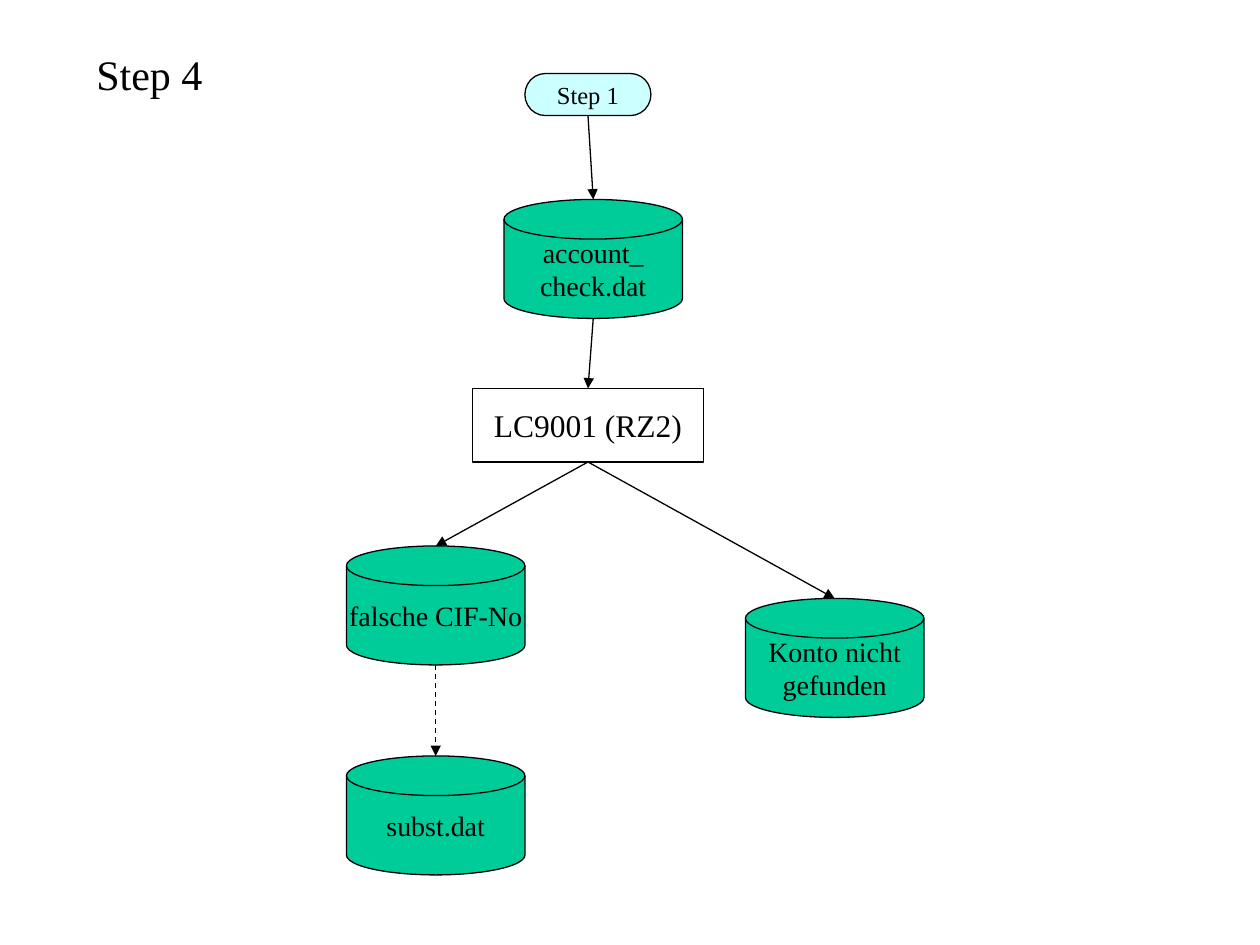
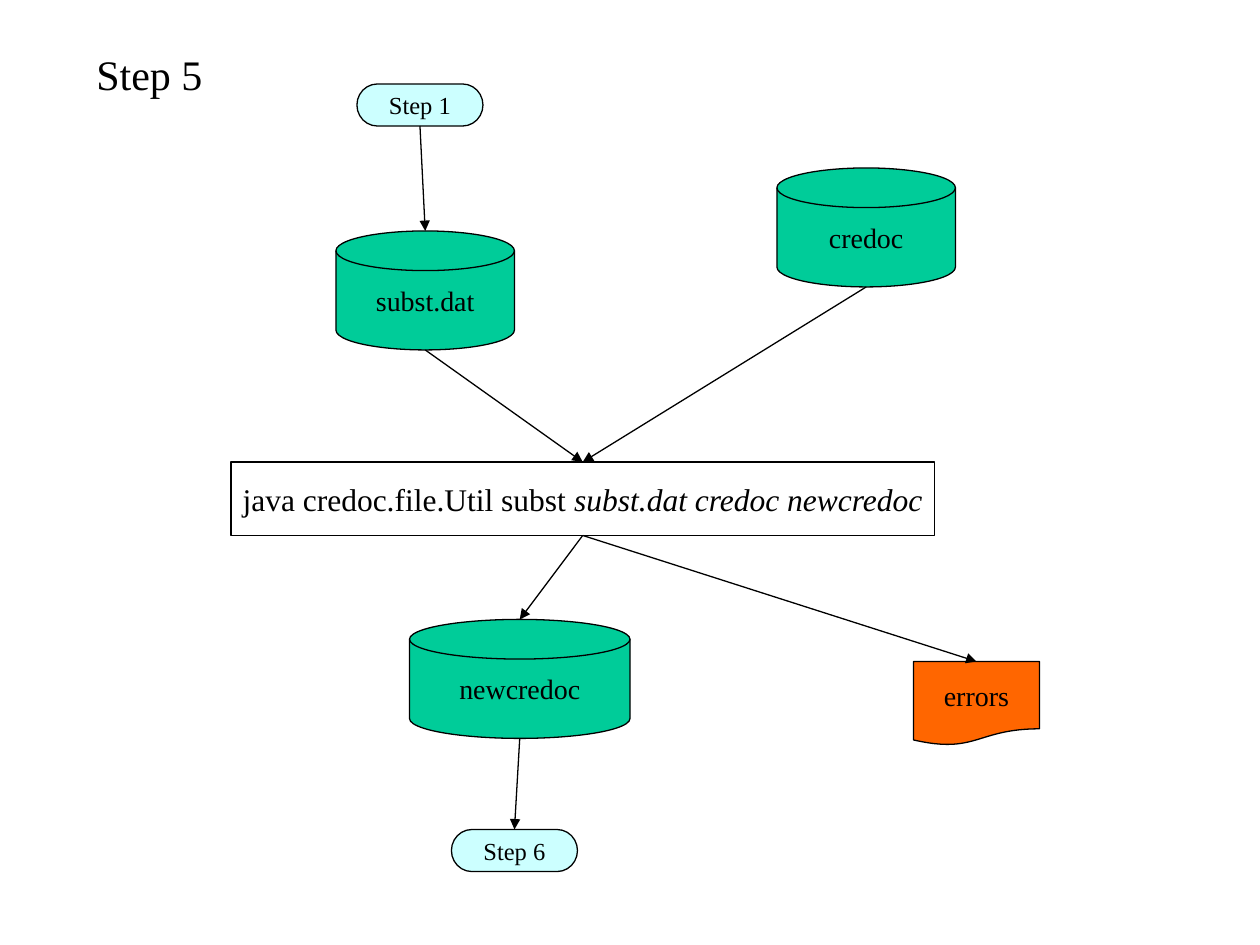
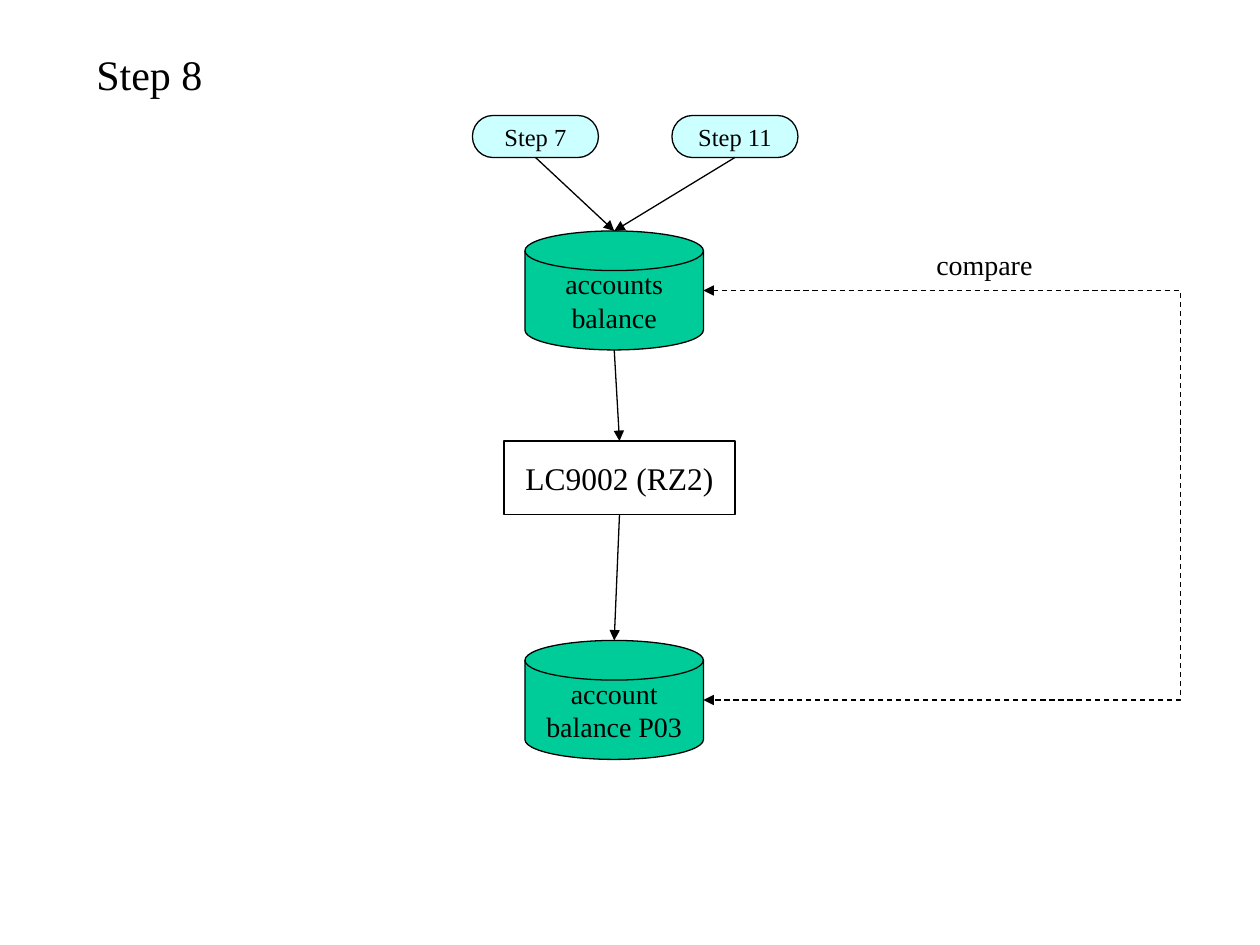
from lxml import etree
from pptx import Presentation
from pptx.dml.color import RGBColor
from pptx.enum.dml import MSO_LINE
from pptx.enum.shapes import MSO_CONNECTOR, MSO_SHAPE
from pptx.enum.text import MSO_ANCHOR, MSO_AUTO_SIZE, PP_ALIGN
from pptx.oxml.ns import qn
from pptx.util import Cm, Pt

BLACK = RGBColor(0x00, 0x00, 0x00)
GREEN = RGBColor(0x00, 0xCC, 0x99)
CYAN = RGBColor(0xCC, 0xFF, 0xFF)
ORANGE = RGBColor(0xFF, 0x66, 0x00)
FONT = "Times New Roman"
GRID = 2.54 / 12
LINE_WIDTH = Pt(0.75)
TITLE_ONLY = 5


def grid(n):
    return Cm(n * GRID)


def write(sp, text, size=16, align=PP_ALIGN.CENTER, anchor=MSO_ANCHOR.MIDDLE, italic_tail=""):
    tf = sp.text_frame
    tf.word_wrap = False
    tf.auto_size = MSO_AUTO_SIZE.NONE
    tf.vertical_anchor = anchor
    tf.margin_left = tf.margin_right = Cm(0.25)
    tf.margin_top = tf.margin_bottom = Cm(0.13)
    for i, line in enumerate(text.split("\n")):
        p = tf.paragraphs[0] if i == 0 else tf.add_paragraph()
        p.alignment = align
        for part, italic in ((line, False), (italic_tail, True)):
            if part:
                r = p.add_run()
                r.text = part
                r.font.name = FONT
                r.font.size = Pt(size)
                r.font.italic = italic
                r.font.color.rgb = BLACK


def style_line(line, dashed=False):
    line.color.rgb = BLACK
    line.width = LINE_WIDTH
    if dashed:
        line.dash_style = MSO_LINE.DASH


def add_heads(sp, *ends):
    ln = sp.line._get_or_add_ln()
    for end in ends:
        etree.SubElement(ln, qn("a:" + end), type="triangle")


def add_node(s, kind, x, y, w, h, text, fill=None, **fmt):
    sp = s.shapes.add_shape(kind, grid(x), grid(y), grid(w), grid(h))
    sp.shadow.inherit = False
    if fill is None:
        sp.fill.background()
    else:
        sp.fill.solid()
        sp.fill.fore_color.rgb = fill
    style_line(sp.line)
    write(sp, text, **fmt)
    return sp


def add_step(s, x, y, text):
    return add_node(s, MSO_SHAPE.FLOWCHART_TERMINATOR, x, y, 12, 4, text, CYAN, size=14)


def add_data(s, x, y, text, w=17):
    return add_node(s, MSO_SHAPE.FLOWCHART_MAGNETIC_DISK, x, y, w, 11.33, text, GREEN)


def add_program(s, x, y, text, w=22, **fmt):
    return add_node(s, MSO_SHAPE.RECTANGLE, x, y, w, 7, text, size=18, **fmt)


def add_report(s, x, y, text):
    return add_node(s, MSO_SHAPE.FLOWCHART_DOCUMENT, x, y, 12, 8, text, ORANGE)


def add_arrow(s, source, target, dashed=False):
    c = s.shapes.add_connector(
        MSO_CONNECTOR.STRAIGHT,
        source.left + source.width // 2, source.top + source.height,
        target.left + target.width // 2, target.top)
    style_line(c.line, dashed)
    add_heads(c, "tailEnd")
    etree.SubElement(c._element.spPr, qn("a:effectLst"))


def add_loop(s, upper, lower, x):
    right = upper.left + upper.width
    y1 = upper.top + upper.height // 2
    y2 = lower.top + lower.height // 2
    fb = s.shapes.build_freeform(right, y1)
    fb.add_line_segments([(grid(x), y1), (grid(x), y2), (right, y2)], close=False)
    sp = fb.convert_to_shape()
    sp.fill.background()
    style_line(sp.line, dashed=True)
    add_heads(sp, "headEnd", "tailEnd")
    sp.shadow.inherit = False


def add_label(s, x, y, w, h, text):
    sp = s.shapes.add_textbox(grid(x), grid(y), grid(w), grid(h))
    write(sp, text, align=PP_ALIGN.LEFT, anchor=MSO_ANCHOR.TOP)


def add_slide(prs, title):
    s = prs.slides.add_slide(prs.slide_layouts[TITLE_ONLY])
    sp = s.shapes.title
    sp.left, sp.top, sp.width, sp.height = grid(8), grid(4), grid(12.5), grid(6)
    write(sp, title, size=24, align=PP_ALIGN.LEFT, anchor=MSO_ANCHOR.TOP)
    return s


def account_check(s, x, y):
    step = add_step(s, x + 17, y, "Step 1")
    accounts = add_data(s, x + 15, y + 12, "account_\ncheck.dat")
    program = add_program(s, x + 12, y + 30, "LC9001 (RZ2)")
    wrong = add_data(s, x, y + 45, "falsche CIF-No")
    missing = add_data(s, x + 38, y + 50, "Konto nicht\ngefunden")
    subst = add_data(s, x, y + 65, "subst.dat")
    for source, target in ((step, accounts), (accounts, program),
                           (program, wrong), (program, missing)):
        add_arrow(s, source, target)
    add_arrow(s, wrong, subst, dashed=True)


def substitution(s, x, y):
    first = add_step(s, x + 12, y, "Step 1")
    subst = add_data(s, x + 10, y + 14, "subst.dat")
    credoc = add_data(s, x + 52, y + 8, "credoc")
    program = add_program(s, x, y + 36, "java credoc.file.Util subst ", w=67,
                          italic_tail="subst.dat credoc newcredoc")
    result = add_data(s, x + 17, y + 51, "newcredoc", w=21)
    errors = add_report(s, x + 65, y + 55, "errors")
    following = add_step(s, x + 21, y + 71, "Step 6")
    for source, target in ((first, subst), (subst, program), (credoc, program),
                           (program, result), (program, errors), (result, following)):
        add_arrow(s, source, target)


def balance_check(s, x, y):
    steps = [add_step(s, x + 19 * i, y, text) for i, text in enumerate(("Step 7", "Step 11"))]
    before = add_data(s, x + 5, y + 11, "accounts\nbalance")
    program = add_program(s, x + 3, y + 31, "LC9002 (RZ2)")
    after = add_data(s, x + 5, y + 50, "account\nbalance P03")
    for step in steps:
        add_arrow(s, step, before)
    add_arrow(s, before, program)
    add_arrow(s, program, after)
    add_loop(s, before, after, x + 67.4)
    add_label(s, x + 43, y + 12, 11.5, 4.4, "compare")


prs = Presentation()
prs.slide_width, prs.slide_height = Cm(25.4), Cm(19.05)
account_check(add_slide(prs, "Step 4"), 33, 7)
substitution(add_slide(prs, "Step 5"), 22, 8)
balance_check(add_slide(prs, "Step 8"), 45, 11)
prs.save("out.pptx")
